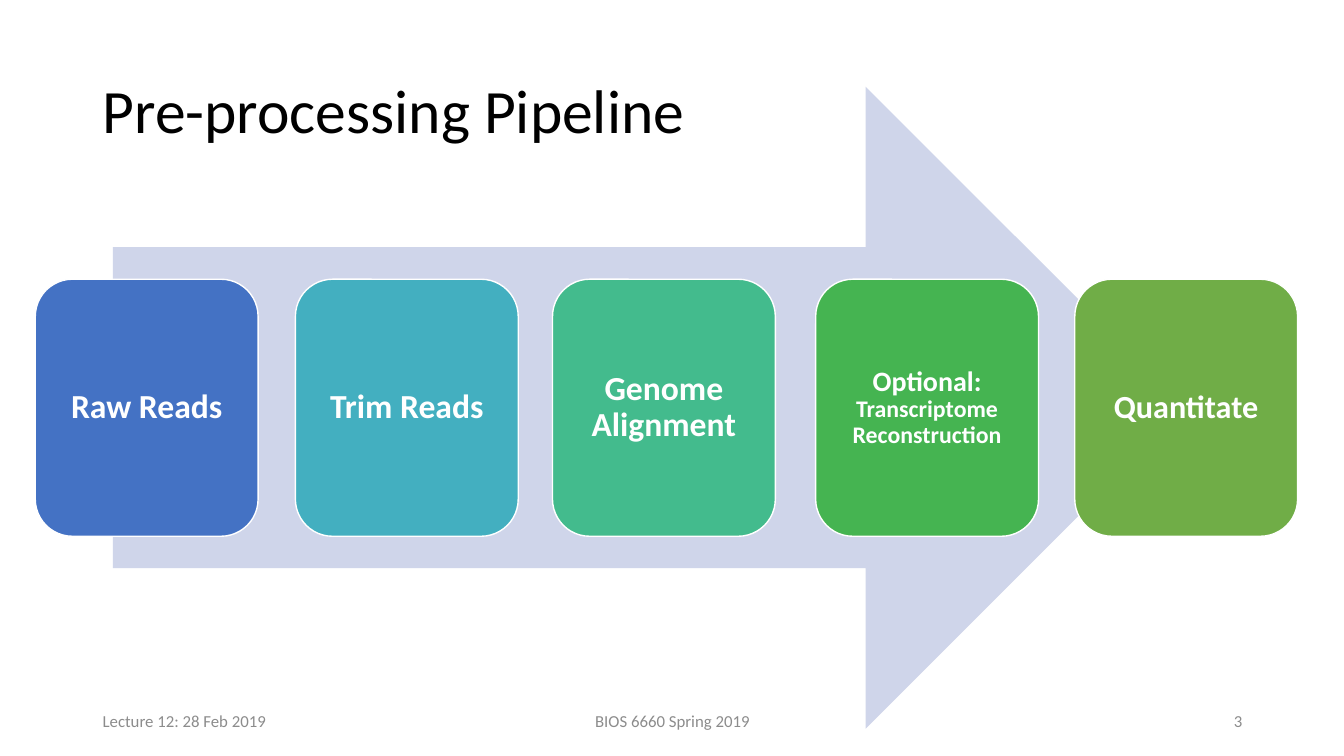
from dataclasses import dataclass

from pptx import Presentation
from pptx.dml.color import RGBColor
from pptx.enum.shapes import MSO_SHAPE as Preset
from pptx.enum.text import MSO_ANCHOR as Anchor, PP_ALIGN as Align
from pptx.util import Emu, Pt

EMU_PER_PX = 9144  # 100 px to the inch
FONT = "Calibri"
WHITE, BLACK, GREY, PALE_BLUE = "FFFFFF", "000000", "8C8C8C", "CFD5EA"
STEP_TOP, STEP_WIDTH, STEP_HEIGHT = 277, 221, 255
FOOTER_TOP, FOOTER_HEIGHT = 695, 40


@dataclass(frozen=True)
class Step:
    left: int
    fill: str
    runs: tuple[tuple[str, int], ...]  # wording and point size
    inset: int = 10


@dataclass(frozen=True)
class Footer:
    left: int
    width: int
    wording: str
    align: Align


STEPS = (
    Step(35, "4472C4", (("Raw Reads", 24),)),
    Step(293, "43AFC0", (("Trim Reads", 24),)),
    Step(548, "43BB8D", (("Genome Alignment", 24),)),
    Step(809, "45B451",
         (("Optional: ", 20), ("Transcriptome Reconstruction", 17)), inset=8),
    Step(1066, "70AD47", (("Quantitate", 23),)),
)
FOOTERS = (
    Footer(92, 300, "Lecture 12: 28 Feb 2019", Align.LEFT),
    Footer(442, 450, "BIOS 6660 Spring 2019", Align.CENTER),
    Footer(942, 300, "3", Align.RIGHT),
)


def px(length: int) -> Emu:
    return Emu(length * EMU_PER_PX)


def color(hex_code: str) -> RGBColor:
    return RGBColor.from_string(hex_code)


def write(holder, runs, *, ink: str, align=Align.LEFT, bold: bool = False,
          spacing: float = 1.0, inset_x: int = 10, inset_y: int = 5) -> None:
    """Fill a shape or text box with one vertically centred paragraph."""
    frame = holder.text_frame
    frame.word_wrap = True
    frame.vertical_anchor = Anchor.MIDDLE
    frame.margin_left = frame.margin_right = px(inset_x)
    frame.margin_top = frame.margin_bottom = px(inset_y)
    paragraph = frame.paragraphs[0]
    paragraph.alignment = align
    paragraph.line_spacing = spacing
    for wording, size in runs:
        run = paragraph.add_run()
        run.text = wording
        run.font.name = FONT
        run.font.size = Pt(size)
        run.font.bold = bold
        run.font.color.rgb = color(ink)


def add_preset(slide, preset: Preset, left: int, top: int, width: int,
               height: int, fill: str, outline: str | None = None):
    shape = slide.shapes.add_shape(
        preset, px(left), px(top), px(width), px(height))
    shape.shadow.inherit = False
    shape.fill.solid()
    shape.fill.fore_color.rgb = color(fill)
    if outline:
        shape.line.color.rgb = color(outline)
        shape.line.width = Pt(1)
    else:
        shape.line.fill.background()
    return shape


def add_step(slide, step: Step) -> None:
    card = add_preset(slide, Preset.ROUNDED_RECTANGLE, step.left, STEP_TOP,
                      STEP_WIDTH, STEP_HEIGHT, step.fill, WHITE)
    write(card, step.runs, ink=WHITE, align=Align.CENTER, bold=True,
          spacing=0.9, inset_x=step.inset, inset_y=step.inset)


def add_footer(slide, footer: Footer) -> None:
    box = slide.shapes.add_textbox(px(footer.left), px(FOOTER_TOP),
                                   px(footer.width), px(FOOTER_HEIGHT))
    write(box, ((footer.wording, 12),), ink=GREY, align=footer.align)


def main() -> None:
    deck = Presentation()
    deck.slide_width, deck.slide_height = px(1333), px(750)
    slide = deck.slides.add_slide(deck.slide_layouts[6])

    # Title and footer line
    title = slide.shapes.add_textbox(px(92), px(40), px(1150), px(145))
    write(title, (("Pre-processing Pipeline", 44),), ink=BLACK, spacing=0.9)
    for footer in FOOTERS:
        add_footer(slide, footer)

    # Pipeline arrow with its steps on top
    add_preset(slide, Preset.RIGHT_ARROW, 112, 86, 1065, 637, PALE_BLUE)
    for step in STEPS:
        add_step(slide, step)

    deck.save("out.pptx")


if __name__ == "__main__":
    main()
